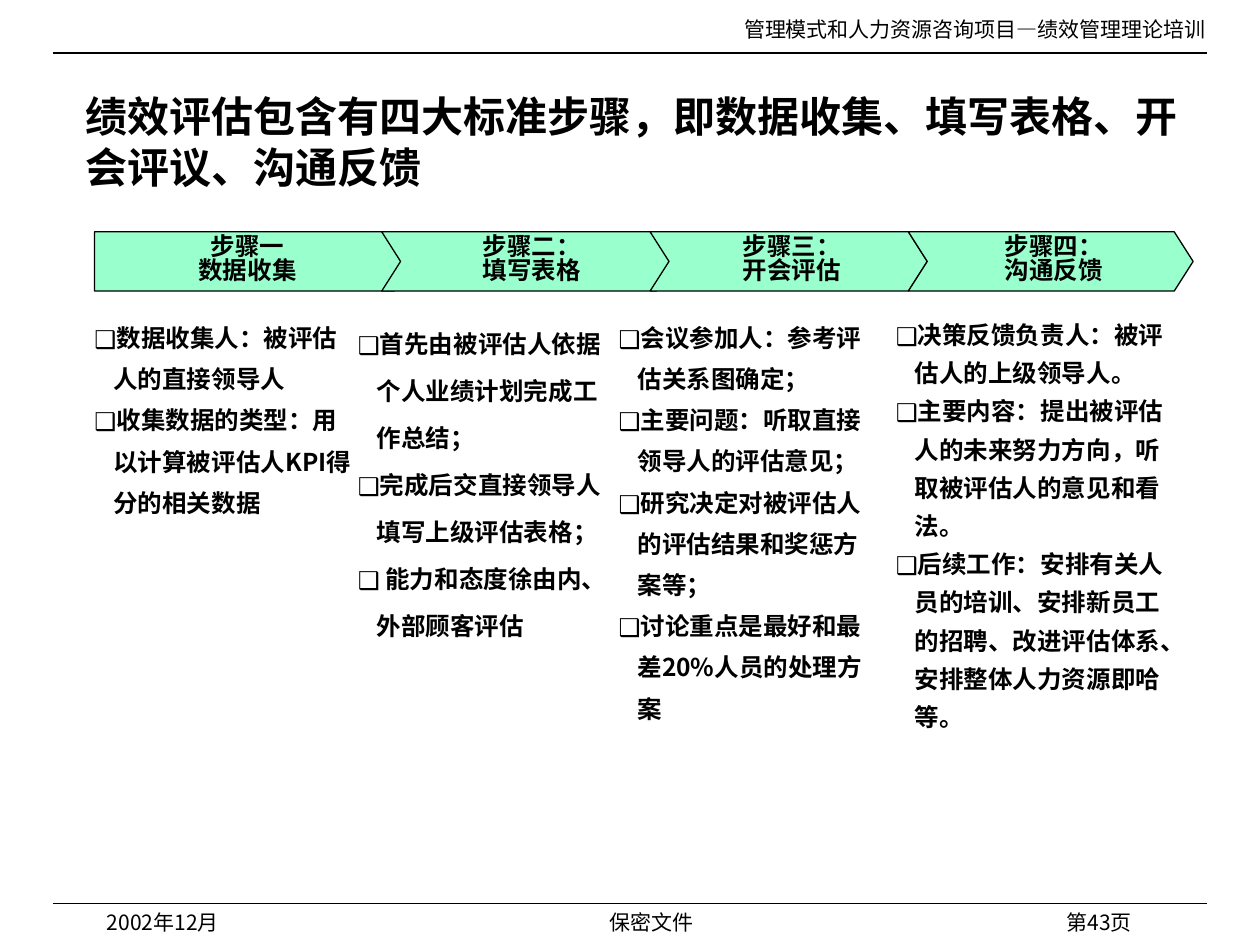
from lxml.etree import SubElement
from pptx import Presentation
from pptx.dml.color import RGBColor
from pptx.enum.shapes import MSO_CONNECTOR as CONNECTOR, MSO_SHAPE as SHAPE
from pptx.enum.text import MSO_ANCHOR as ANCHOR, MSO_AUTO_SIZE as AUTO_SIZE, PP_ALIGN as ALIGN
from pptx.oxml.ns import qn
from pptx.util import Inches, Pt

BLACK = RGBColor(0x00, 0x00, 0x00)
MINT = RGBColor(0x99, 0xFF, 0xCC)
SANS = "Noto Sans CJK SC"
SERIF = "Times New Roman"

TITLE = "绩效评估包含有四大标准步骤，即数据收集、填写表格、开会评议、沟通反馈"
ARROW_TOP, ARROW_HEIGHT, TIP = 1.84, 0.47, 0.15
DETAIL_TOP = 2.47

# Arrow and detail boxes are (left, width) in inches.
STEPS = [
    {"arrow": (0.75, 2.53), "heading": ["步骤一", "数据收集"],
     "detail": (0.75, 2.1), "height": 2.61, "spacing": 1.4,
     "points": ["数据收集人：被评估人的直接领导人",
                "收集数据的类型：用以计算被评估人KPI得分的相关数据"]},
    {"arrow": (3.03, 2.33), "heading": ["步骤二：", "填写表格"],
     "detail": (2.84, 2.09), "height": 2.61, "spacing": 1.6,
     "points": ["首先由被评估人依据个人业绩计划完成工作总结；",
                "完成后交直接领导人填写上级评估表格；",
                " 能力和态度徐由内、外部顾客评估"]},
    {"arrow": (5.16, 2.2), "heading": ["步骤三：", "开会评估"],
     "detail": (4.91, 2.06), "height": 3.27, "spacing": 1.4,
     "points": ["会议参加人：参考评估关系图确定；",
                "主要问题：听取直接领导人的评估意见；",
                "研究决定对被评估人的评估结果和奖惩方案等；",
                "讨论重点是最好和最差20%人员的处理方案"]},
    {"arrow": (7.21, 2.26), "heading": ["步骤四：", "沟通反馈"],
     "detail": (7.11, 2.23), "height": 3.34, "spacing": 1.3,
     "points": ["决策反馈负责人：被评估人的上级领导人。",
                "主要内容：提出被评估人的未来努力方向，听取被评估人的意见和看法。",
                "后续工作：安排有关人员的培训、安排新员工的招聘、改进评估体系、安排整体人力资源即哈等。"]},
]


def add_run(paragraph, text, size, font, bold=False):
    run = paragraph.add_run()
    run.text = text
    run.font.size = Pt(size)
    run.font.bold = bold
    run.font.color.rgb = BLACK
    run.font.name = font
    SubElement(run.font._element, qn("a:ea")).set("typeface", SANS)


def set_margins(frame, horizontal, vertical):
    frame.margin_left = frame.margin_right = Inches(horizontal)
    frame.margin_top = frame.margin_bottom = Inches(vertical)


def paragraphs_for(frame, texts):
    """Yield each text with its own paragraph, using the existing one first."""
    for index, text in enumerate(texts):
        yield frame.add_paragraph() if index else frame.paragraphs[0], text


def add_rule(slide, left, right, y):
    rule = slide.shapes.add_connector(
        CONNECTOR.STRAIGHT, Inches(left), Inches(y), Inches(right), Inches(y))
    rule.line.color.rgb = BLACK
    rule.line.width = Pt(0.75)
    SubElement(rule.line._get_or_add_ln().getparent(), qn("a:effectLst"))


def add_margin_text(slide, box, text, align, font=SANS):
    """Place one line of header or footer text."""
    frame = slide.shapes.add_textbox(*map(Inches, box)).text_frame
    frame.word_wrap = True
    set_margins(frame, 0.1, 0.05)
    frame.paragraphs[0].alignment = align
    add_run(frame.paragraphs[0], text, 12, font)


def add_header_and_footer(slide, left, right, header_y, footer_y):
    for y in (header_y, footer_y):
        add_rule(slide, left, right, y)
    add_margin_text(slide, (5, 0.08, 4.67, 0.3),
                    "管理模式和人力资源咨询项目—绩效管理理论培训", ALIGN.RIGHT, SERIF)
    add_margin_text(slide, (0.75, footer_y, 2.08, 0.25), "2002年12月", ALIGN.LEFT)
    add_margin_text(slide, (2.92, footer_y, 4.5, 0.25), "保密文件", ALIGN.CENTER)
    add_margin_text(slide, (7, footer_y, 2.08, 0.17), "第43页", ALIGN.RIGHT)


def set_title(slide, left, top, width, height):
    title = slide.shapes.title
    title.left, title.top = Inches(left), Inches(top)
    title.width, title.height = Inches(width), Inches(height)
    frame = title.text_frame
    frame.word_wrap = True
    frame.auto_size = AUTO_SIZE.NONE
    frame.vertical_anchor = ANCHOR.TOP
    set_margins(frame, 0.1, 0.05)
    frame.paragraphs[0].alignment = ALIGN.LEFT
    add_run(frame.paragraphs[0], TITLE, 24, SERIF, bold=True)


def add_step_arrow(slide, left, top, width, height, heading, notch):
    """Draw an arrow whose tail is cut in by notch, with its heading on top."""
    right, middle, bottom = left + width, top + height / 2, top + height
    corners = [(right - TIP, top), (right, middle), (right - TIP, bottom),
               (left, bottom), (left + notch, middle)]
    builder = slide.shapes.build_freeform(Inches(left), Inches(top))
    builder.add_line_segments([(Inches(x), Inches(y)) for x, y in corners])
    arrow = builder.convert_to_shape()
    arrow.shadow.inherit = False
    arrow.fill.solid()
    arrow.fill.fore_color.rgb = MINT
    arrow.line.color.rgb = BLACK
    arrow.line.width = Pt(0.75)

    label_left = left + notch + 0.05
    label = slide.shapes.add_shape(
        SHAPE.RECTANGLE, Inches(label_left), Inches(top + 0.02),
        Inches(right - TIP - label_left), Inches(height - 0.06))
    label.shadow.inherit = False
    label.fill.solid()
    label.fill.fore_color.rgb = MINT
    label.line.fill.background()
    frame = label.text_frame
    frame.word_wrap = True
    frame.vertical_anchor = ANCHOR.MIDDLE
    set_margins(frame, 0.05, 0)
    for paragraph, text in paragraphs_for(frame, heading):
        paragraph.alignment = ALIGN.CENTER
        paragraph.line_spacing = 0.8
        add_run(paragraph, text, 14, SERIF, bold=True)


def add_bullet(paragraph):
    properties = paragraph._p.get_or_add_pPr()
    properties.set("marL", str(Inches(0.15)))
    properties.set("indent", str(-Inches(0.15)))
    color = SubElement(properties, qn("a:buClr"))
    SubElement(color, qn("a:srgbClr")).set("val", str(BLACK))
    SubElement(properties, qn("a:buFont")).set("typeface", SANS)
    SubElement(properties, qn("a:buChar")).set("char", "❑")


def add_step_detail(slide, left, top, width, height, points, spacing):
    frame = slide.shapes.add_textbox(
        Inches(left), Inches(top), Inches(width), Inches(height)).text_frame
    frame.word_wrap = True
    set_margins(frame, 0, 0)
    for paragraph, text in paragraphs_for(frame, points):
        add_bullet(paragraph)
        paragraph.level = 1
        paragraph.line_spacing = spacing
        add_run(paragraph, text, 14, SANS, bold=True)


def main():
    deck = Presentation()
    deck.slide_width, deck.slide_height = Inches(10), Inches(7.5)
    slide = deck.slides.add_slide(deck.slide_layouts[5])
    add_header_and_footer(slide, 0.42, 9.58, 0.42, 7.17)
    set_title(slide, 0.58, 0.67, 9.1, 0.92)
    for index, step in enumerate(STEPS):
        left, width = step["arrow"]
        add_step_arrow(slide, left, ARROW_TOP, width, ARROW_HEIGHT,
                       step["heading"], TIP if index else 0)
        left, width = step["detail"]
        add_step_detail(slide, left, DETAIL_TOP, width, step["height"],
                        step["points"], step["spacing"])
    deck.save("out.pptx")


if __name__ == "__main__":
    main()
